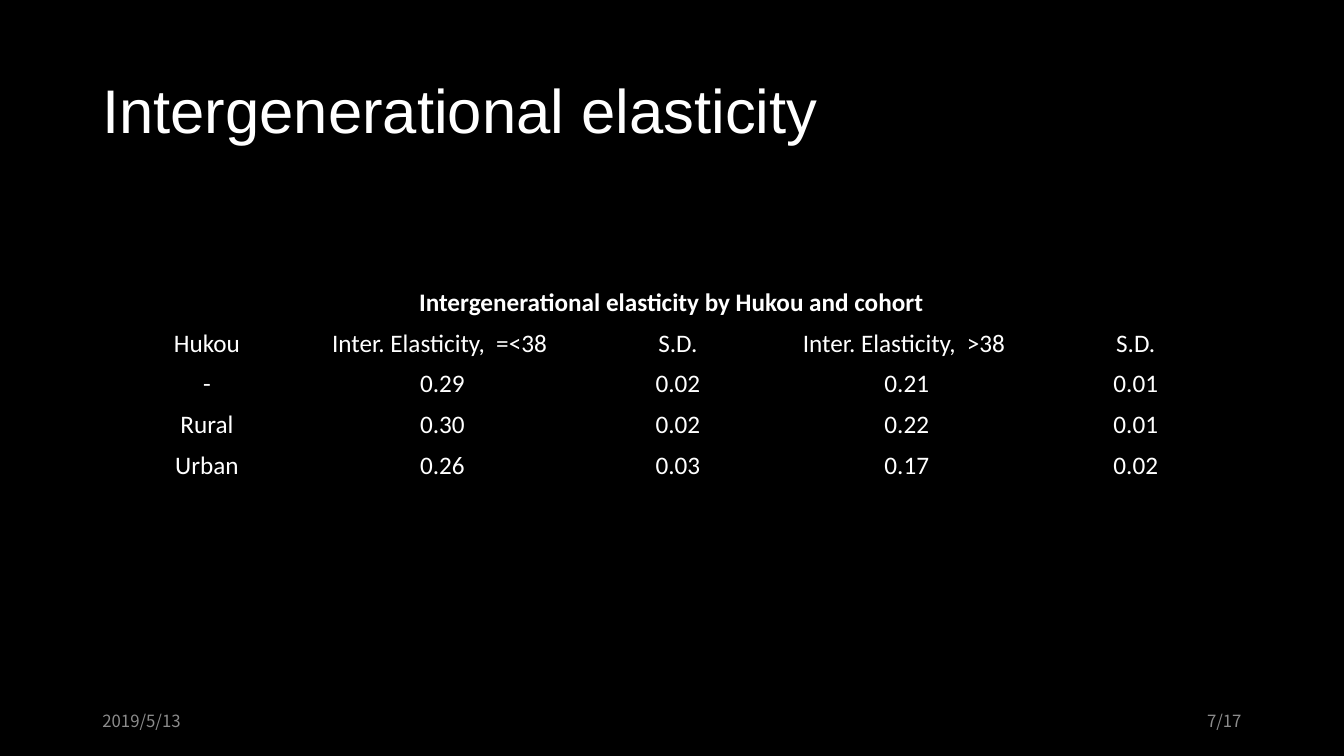
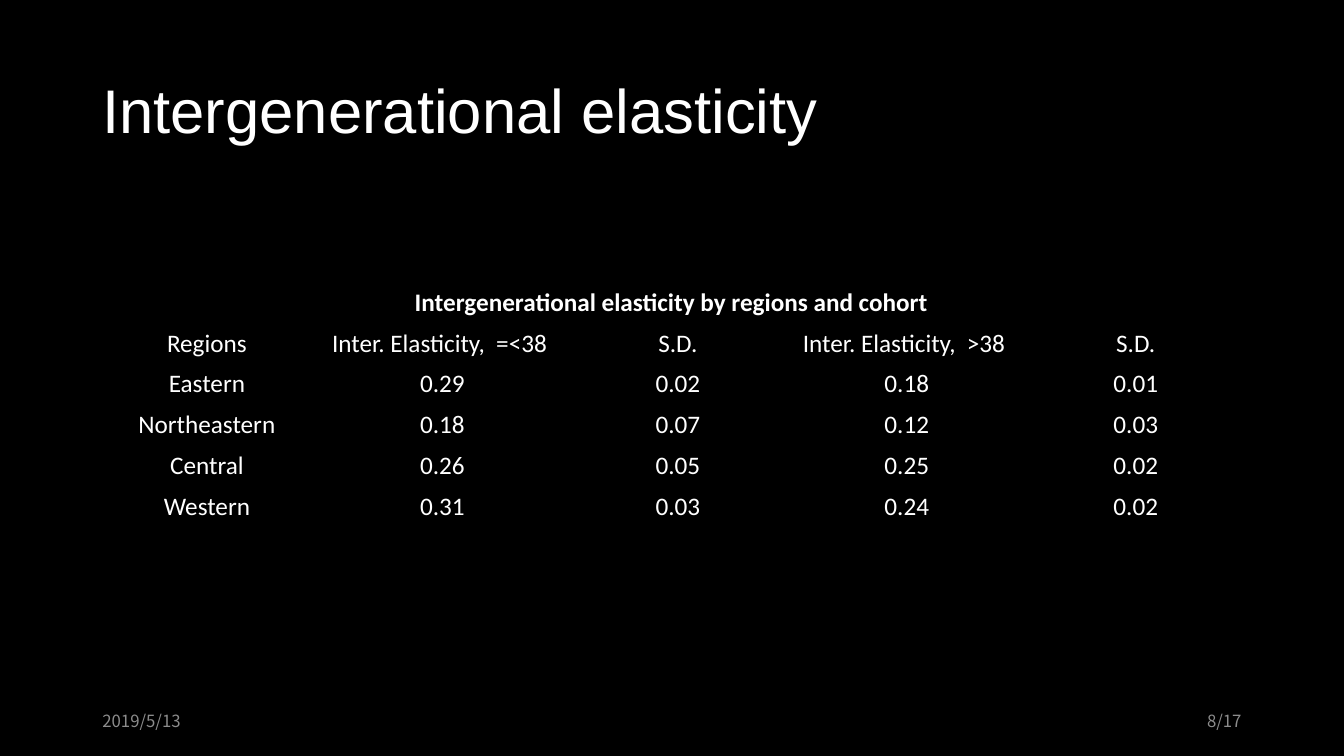
"""Build two slides of intergenerational elasticity tables by cohort."""
from pptx import Presentation
from pptx import util as u
from pptx.dml import color
from pptx.enum import text
from pptx.oxml import ns

COLOURS = {"ground": "000000", "ink": "FFFFFF", "footer": "8C8C8C"}
FONTS = {"title": "Arial", "table": "Calibri", "footer": "Noto Sans CJK SC"}
PLAIN_TABLE_STYLE = "{2D5ABB26-0587-4C30-8999-92F81FD0307C}"
LEFT, WIDTH = 2.33, 29.21
FOOTER_WIDTH = 7.62
COLUMN_WIDTHS = [5.77, 6.1, 5.77, 5.77, 5.77]
ROW_HEIGHT = 1.03
MEASURES = ["Inter. Elasticity,  =<38 ", "S.D.", "Inter. Elasticity,  >38 ", "S.D."]
PAGE_COUNT = 17

TABLES = [
    (7, "Intergenerational elasticity by Hukou and cohort", "Hukou", [
        ["-", "0.29", "0.02", "0.21", "0.01"],
        ["Rural", "0.30", "0.02", "0.22", "0.01"],
        ["Urban", "0.26", "0.03", "0.17", "0.02"],
    ]),
    (8, "Intergenerational elasticity by regions and cohort", "Regions", [
        ["Eastern", "0.29", "0.02", "0.18", "0.01"],
        ["Northeastern", "0.18", "0.07", "0.12", "0.03"],
        ["Central", "0.26", "0.05", "0.25", "0.02"],
        ["Western", "0.31", "0.03", "0.24", "0.02"],
    ]),
]


def write(frame, words, role, size, ink="ink", align=text.PP_ALIGN.LEFT, bold=False):
    paragraph = frame.paragraphs[0]
    paragraph.alignment = align
    run = paragraph.add_run()
    run.text = words
    run.font.name = FONTS[role]
    run.font.size = u.Pt(size)
    run.font.bold = bold
    run.font.color.rgb = color.RGBColor.from_string(COLOURS[ink])
    return paragraph


def add_label(slide, left, top, width, height, words, *style):
    box = slide.shapes.add_textbox(u.Cm(left), u.Cm(top), u.Cm(width), u.Cm(height))
    frame = box.text_frame
    frame.word_wrap = True
    frame.vertical_anchor = text.MSO_ANCHOR.MIDDLE
    return write(frame, words, *style)


def add_base(deck, page):
    slide = deck.slides.add_slide(deck.slide_layouts[6])
    ground = slide.background.fill
    ground.solid()
    ground.fore_color.rgb = color.RGBColor.from_string(COLOURS["ground"])
    title = add_label(slide, LEFT, 1.01, WIDTH, 3.68,
                      "Intergenerational elasticity", "title", 44)
    title.line_spacing = 0.9
    footers = [(LEFT, "2019/5/13", text.PP_ALIGN.LEFT),
               (LEFT + WIDTH - FOOTER_WIDTH, f"{page}/{PAGE_COUNT}", text.PP_ALIGN.RIGHT)]
    for left, words, align in footers:
        add_label(slide, left, 17.66, FOOTER_WIDTH, 1.01,
                  words, "footer", 12, "footer", align)
    return slide


def add_elasticity_table(slide, caption, group, records):
    rows = [[caption], [group] + MEASURES] + records
    holder = slide.shapes.add_table(
        len(rows), len(COLUMN_WIDTHS), u.Cm(LEFT), u.Cm(7.11),
        u.Cm(sum(COLUMN_WIDTHS)), u.Cm(ROW_HEIGHT * len(rows)))
    for style in holder.element.iter(ns.qn("a:tableStyleId")):
        style.text = PLAIN_TABLE_STYLE
    table = holder.table
    table.first_row = table.horz_banding = False
    for column, width in zip(table.columns, COLUMN_WIDTHS):
        column.width = u.Cm(width)
    table.cell(0, 0).merge(table.cell(0, len(COLUMN_WIDTHS) - 1))
    for row_index, values in enumerate(rows):
        table.rows[row_index].height = u.Cm(ROW_HEIGHT)
        for column_index, value in enumerate(values):
            cell = table.cell(row_index, column_index)
            cell.fill.background()
            write(cell.text_frame, value, "table", 18,
                  align=text.PP_ALIGN.CENTER, bold=row_index == 0)


def main():
    deck = Presentation()
    deck.slide_width, deck.slide_height = u.Cm(33.87), u.Cm(19.05)
    for page, caption, group, records in TABLES:
        add_elasticity_table(add_base(deck, page), caption, group, records)
    deck.save("out.pptx")


if __name__ == "__main__":
    main()
